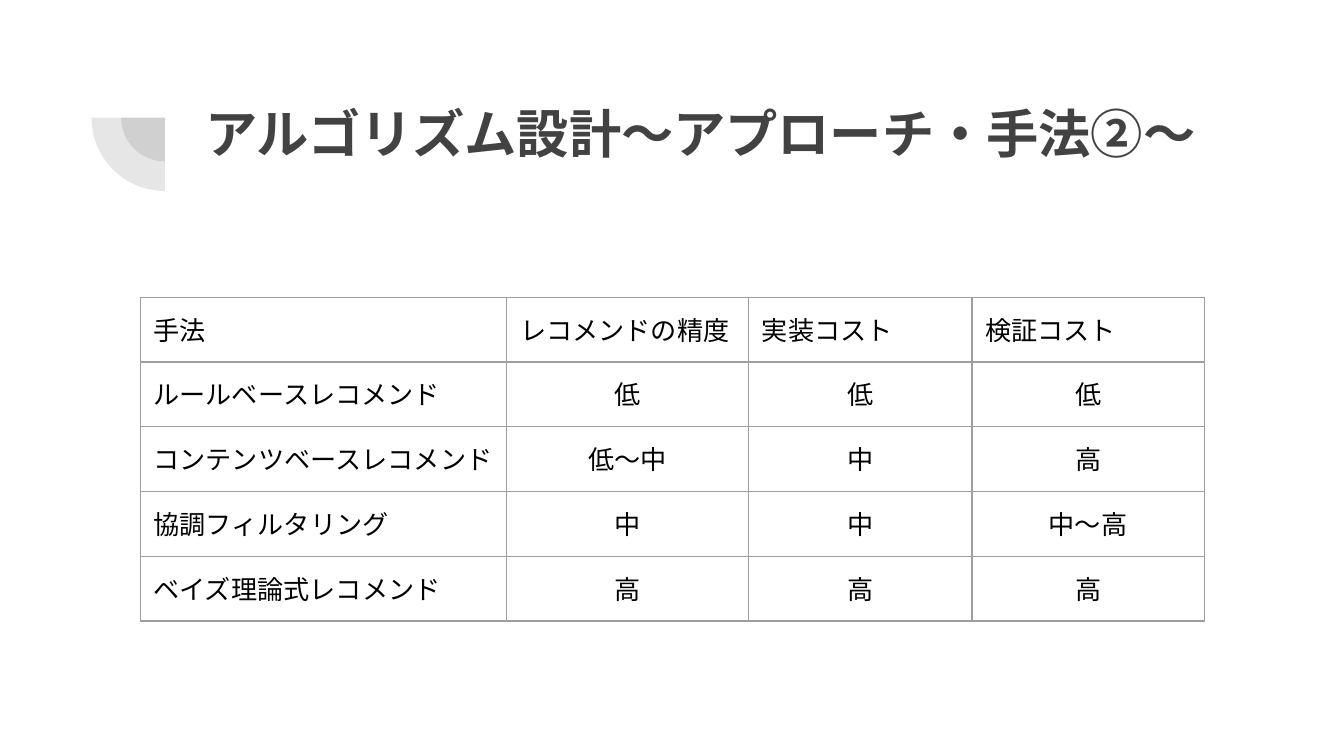
from lxml.etree import SubElement
from pptx import Presentation
from pptx.dml.color import RGBColor
from pptx.enum.lang import MSO_LANGUAGE_ID as Language
from pptx.enum.shapes import MSO_SHAPE as Shape
from pptx.enum.text import MSO_ANCHOR as Anchor, PP_ALIGN as Align
from pptx.oxml import parse_xml
from pptx.oxml.ns import nsdecls, qn
from pptx.util import Cm, Pt

FONT = "Arial"
INK = "424242"
GRID = "9E9E9E"
INSET = Cm(0.25)

TITLE = "アルゴリズム設計〜アプローチ・手法②〜"
METHODS = [
    ("手法", "レコメンドの精度", "実装コスト", "検証コスト"),
    ("ルールベースレコメンド", "低", "低", "低"),
    ("コンテンツベースレコメンド", "低〜中", "中", "高"),
    ("協調フィルタリング", "中", "中", "中〜高"),
    ("ベイズ理論式レコメンド", "高", "高", "高"),
]
COLUMN_SHARES = (6.93, 4.57, 4.22, 4.39)


def color(hex_value):
    return RGBColor.from_string(hex_value)


def style_text(paragraph, size, hex_value, bold=False):
    for run in paragraph.runs:
        run.font.name = FONT
        run.font.size = Pt(size)
        run.font.bold = bold
        run.font.language_id = Language.JAPANESE
        run.font.color.rgb = color(hex_value)
        SubElement(run.font._element, qn("a:ea"), typeface=FONT)


def set_insets(owner):
    owner.margin_left = owner.margin_right = INSET
    owner.margin_top = owner.margin_bottom = INSET


def add_quarter_rings(slide, left, top, size):
    for diameter in (1.65, size):
        offset = (size - diameter) / 2
        quarter = slide.shapes.add_shape(
            Shape.PIE, Cm(left + offset), Cm(top + offset), Cm(diameter), Cm(diameter))
        quarter.adjustments[0] = 108
        quarter.adjustments[1] = 162
        quarter.rotation = 270
        quarter.shadow.inherit = False
        quarter.line.fill.background()
        quarter.fill.solid()
        quarter.fill.fore_color.rgb = color(INK)
        tint = quarter._element.spPr.find(qn("a:solidFill"))[0]
        SubElement(tint, qn("a:alpha"), val="13000")


def add_title(slide, left, top, width, height):
    heading = slide.shapes.add_textbox(Cm(left), Cm(top), Cm(width), Cm(height)).text_frame
    heading.word_wrap = True
    heading.vertical_anchor = Anchor.TOP
    set_insets(heading)
    heading.text = TITLE
    style_text(heading.paragraphs[0], 28, INK, bold=True)


def add_cell_borders(cell):
    properties = cell._tc.get_or_add_tcPr()
    for position, side in enumerate(("lnL", "lnR", "lnT", "lnB")):
        properties.insert(position, parse_xml(
            f'<a:{side} {nsdecls("a")} w="{Pt(0.75)}"><a:solidFill>'
            f'<a:srgbClr val="{GRID}"/></a:solidFill></a:{side}>'))


def add_method_table(slide, left, top, width, height):
    comparison = slide.shapes.add_table(
        len(METHODS), len(COLUMN_SHARES), Cm(left), Cm(top), Cm(width), Cm(height)).table
    comparison.first_row = False
    comparison.horz_banding = False
    for column, share in zip(comparison.columns, COLUMN_SHARES):
        column.width = Cm(width * share / sum(COLUMN_SHARES))
    for row, values in enumerate(METHODS):
        for column, value in enumerate(values):
            cell = comparison.cell(row, column)
            set_insets(cell)
            cell.fill.background()
            add_cell_borders(cell)
            cell.text_frame.text = value
            paragraph = cell.text_frame.paragraphs[0]
            paragraph.alignment = Align.CENTER if row and column else Align.LEFT
            paragraph.line_spacing = 1.2
            style_text(paragraph, 14, "000000")


def main():
    presentation = Presentation()
    presentation.slide_width = Cm(25.4)
    presentation.slide_height = Cm(14.29)
    slide = presentation.slides.add_slide(presentation.slide_layouts[6])
    add_quarter_rings(slide, 1.73, 0.84, 2.77)
    add_title(slide, 3.63, 1.66, 19.53, 2.77)
    add_method_table(slide, 2.65, 5.62, 20.11, 6.12)
    presentation.save("out.pptx")


if __name__ == "__main__":
    main()
